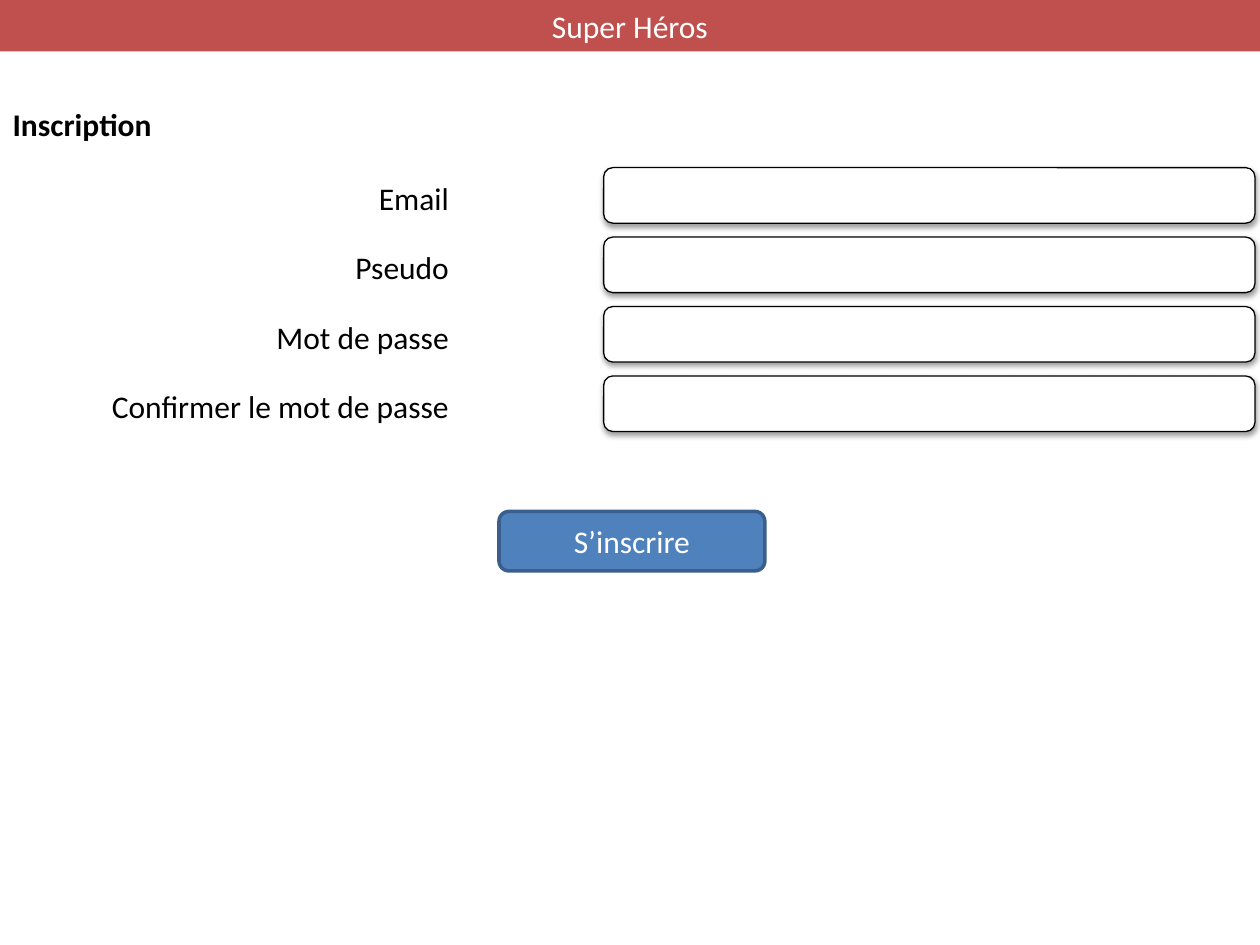
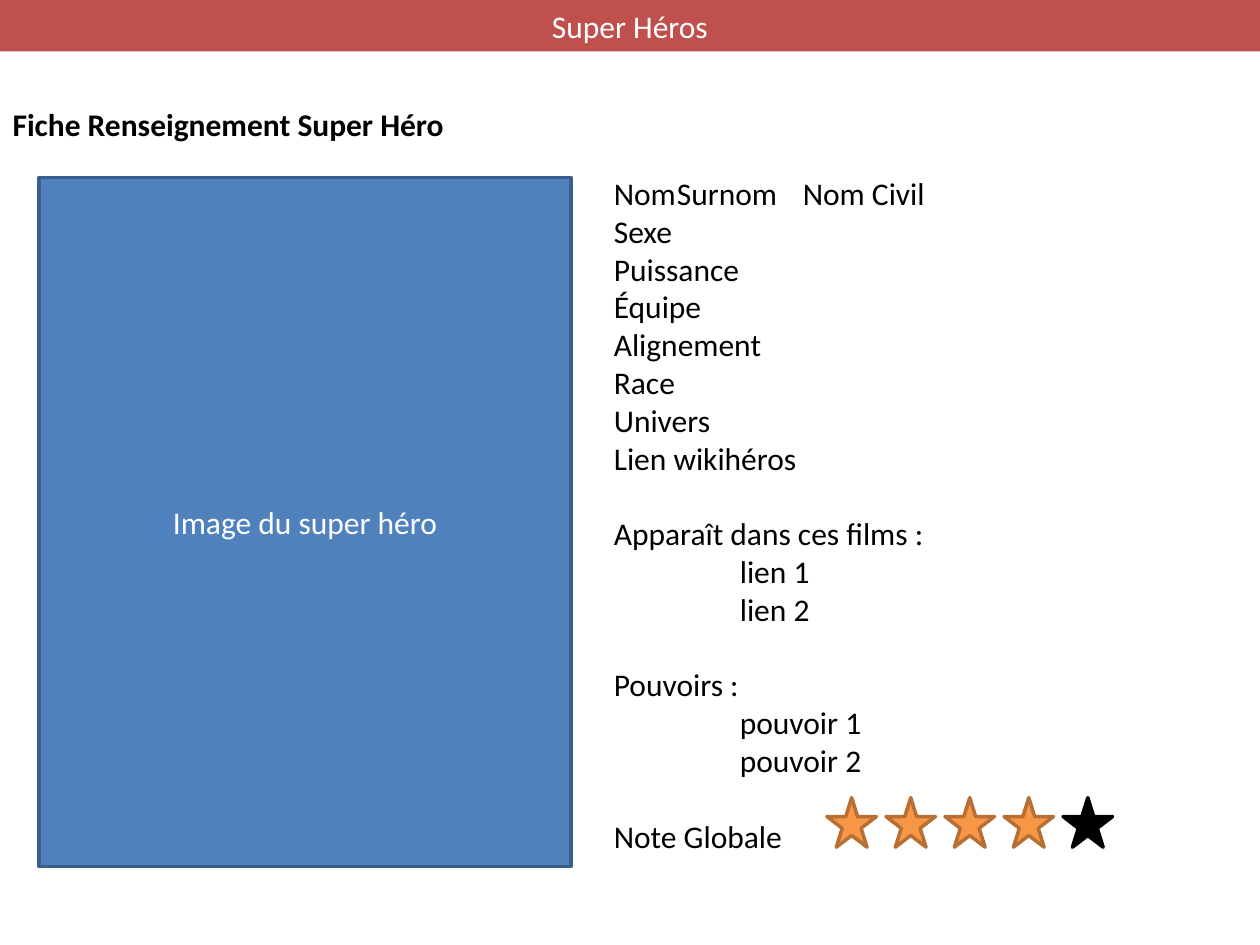
from lxml.etree import SubElement
from pptx import Presentation
from pptx.dml.color import RGBColor
from pptx.enum.shapes import MSO_SHAPE
from pptx.enum.text import MSO_ANCHOR, MSO_AUTO_SIZE, PP_ALIGN
from pptx.oxml.ns import qn
from pptx.util import Cm, Pt

RED, BLUE, BLUE_EDGE = "C0504D", "4F81BD", "3A5F8C"
ORANGE, ORANGE_EDGE = "F79646", "B76F34"
BLACK, WHITE = "000000", "FFFFFF"
LINE_HEIGHT = Pt(21.6)
TAB = Cm(2.54)


def write_run(para, text, colour=BLACK, bold=False):
    span = para.add_run()
    span.text = text
    span.font.name = "Calibri"
    span.font.size = Pt(18)
    span.font.bold = bold
    span.font.color.rgb = RGBColor.from_string(colour)


def add_box(shapes, kind, place, fill, edge=None, weight=2, text=None):
    box = shapes.add_shape(kind, *[Cm(length) for length in place])
    box.shadow.inherit = False
    box.fill.solid()
    box.fill.fore_color.rgb = RGBColor.from_string(fill)
    if edge:
        box.line.color.rgb = RGBColor.from_string(edge)
        box.line.width = Pt(weight)
    else:
        box.line.fill.background()
    if text:
        box.text_frame.vertical_anchor = MSO_ANCHOR.MIDDLE
        para = box.text_frame.paragraphs[0]
        para.alignment = PP_ALIGN.CENTER
        write_run(para, text, WHITE)
    return box


deck = Presentation()
deck.slide_width, deck.slide_height = Cm(25.4), Cm(19.05)

pages = []
for layout, heading in [(5, "Inscription"), (1, "Fiche Renseignement Super Héro")]:
    page = deck.slides.add_slide(deck.slide_layouts[layout])
    title = page.shapes.title
    title.left, title.top, title.width, title.height = Cm(0), Cm(1.98), Cm(25.4), Cm(1.02)
    title.text_frame.auto_size = MSO_AUTO_SIZE.NONE
    title.text_frame.vertical_anchor = MSO_ANCHOR.TOP
    para = title.text_frame.paragraphs[0]
    para.alignment = PP_ALIGN.LEFT
    write_run(para, heading, bold=True)
    add_box(page.shapes, MSO_SHAPE.RECTANGLE, (0, 0, 25.4, 1.04), RED, text="Super Héros")
    pages.append(page)
signup, profile = pages

for row, label in enumerate(["Email", "Pseudo", "Mot de passe", "Confirmer le mot de passe"]):
    top = 3.38 + 1.4 * row
    group = signup.shapes.add_group_shape()
    field = add_box(group.shapes, MSO_SHAPE.ROUNDED_RECTANGLE, (12.17, top, 13.13, 1.12),
                    WHITE, BLACK, 0.75)
    effects = field._element.spPr.find(qn("a:effectLst"))
    shadow = SubElement(effects, qn("a:outerShdw"), blurRad="40000", dist="20000",
                        dir="5400000", rotWithShape="0")
    tint = SubElement(shadow, qn("a:srgbClr"), val=BLACK)
    SubElement(tint, qn("a:alpha"), val="38000")
    caption = group.shapes.add_textbox(Cm(0.2), Cm(top + 0.1), Cm(9.1), Cm(1.27))
    caption.text_frame.word_wrap = True
    para = caption.text_frame.paragraphs[0]
    para.alignment = PP_ALIGN.RIGHT
    write_run(para, label)

add_box(signup.shapes, MSO_SHAPE.ROUNDED_RECTANGLE, (10.06, 10.31, 5.36, 1.2),
        BLUE, BLUE_EDGE, text="S’inscrire")

add_box(profile.shapes, MSO_SHAPE.RECTANGLE, (0.79, 3.58, 10.72, 13.89),
        BLUE, BLUE_EDGE, text="Image du super héro")

details = profile.placeholders[1]
details.left, details.top, details.width, details.height = Cm(12.12), Cm(3.38), Cm(11.71), Cm(14.1)
details.text_frame.auto_size = MSO_AUTO_SIZE.NONE
sections = [
    ("Nom\tSurnom\tNom Civil", []),
    ("Sexe", []),
    ("Puissance", []),
    ("Équipe", []),
    ("Alignement", []),
    ("Race", []),
    ("Univers", []),
    ("Lien wikihéros", []),
    ("Apparaît dans ces films :", ["lien 1", "lien 2"]),
    ("Pouvoirs :", ["pouvoir 1", "pouvoir 2"]),
    ("Note Globale", []),
]
spaced = {"Apparaît dans ces films :", "Pouvoirs :", "Note Globale"}
para = details.text_frame.paragraphs[0]
for heading, items in sections:
    for text in [heading, *items]:
        if para.runs:
            para = details.text_frame.add_paragraph()
        para.space_before = LINE_HEIGHT if text in spaced else Pt(0)
        settings = para._p.get_or_add_pPr()
        settings.set("marL", str(TAB if text in items else 0))
        settings.set("indent", "0")
        SubElement(settings, qn("a:buNone"))
        if "\t" in text:
            tabs = SubElement(settings, qn("a:tabLst"))
            for stop in (1, 2):
                SubElement(tabs, qn("a:tab"), pos=str(TAB * stop), algn="l")
        write_run(para, text)

for index in range(5):
    fill, edge = (ORANGE, ORANGE_EDGE) if index < 4 else (BLACK, BLACK)
    add_box(profile.shapes, MSO_SHAPE.STAR_5_POINT, (16.67 + 1.19 * index, 16.08, 1, 1), fill, edge)

deck.save("out.pptx")
